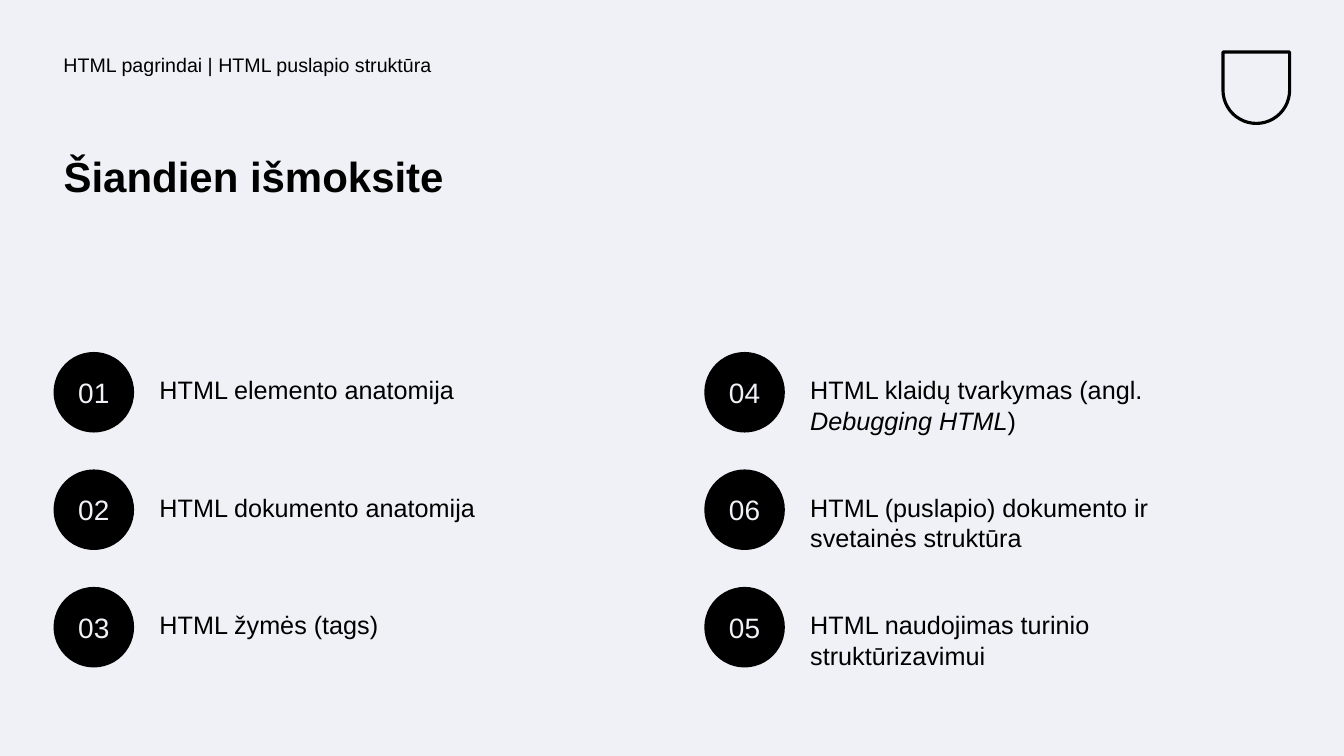
from dataclasses import dataclass

from pptx import Presentation
from pptx import util as u
from pptx.dml.color import RGBColor
from pptx.enum import shapes, text


@dataclass(frozen=True)
class Theme:
    font: str = "Arial"
    ink: RGBColor = RGBColor(0, 0, 0)
    paper: RGBColor = RGBColor(0xF0, 0xF1, 0xF6)
    head: int = 14
    title: int = 30
    body: int = 18
    badge: int = 20


class Page:
    def __init__(self, deck, theme):
        self.theme = theme
        self.slide = deck.slides.add_slide(deck.slide_layouts[5])
        fill = self.slide.background.fill
        fill.solid()
        fill.fore_color.rgb = theme.paper

    def typeset(self, frame, runs, size, color=None, bold=False,
                align=text.PP_ALIGN.LEFT, anchor=text.MSO_ANCHOR.TOP,
                space=1.0):
        """Fill a frame with one paragraph of (words, italic) runs."""
        frame.word_wrap = True
        frame.auto_size = text.MSO_AUTO_SIZE.NONE
        frame.vertical_anchor = anchor
        para = frame.paragraphs[0]
        para.alignment = align
        para.line_spacing = space
        for words, italic in runs:
            run = para.add_run()
            run.text = words
            font = run.font
            font.name = self.theme.font
            font.size = u.Pt(size)
            font.bold = bold
            font.italic = italic
            font.color.rgb = color or self.theme.ink

    def title(self, words, x, y, w, h):
        box = self.slide.shapes.title
        box.left, box.top, box.width, box.height = map(u.Cm, (x, y, w, h))
        self.typeset(box.text_frame, [(words, False)], self.theme.title,
                     bold=True, space=0.9)

    def label(self, runs, size, x, y, w, h, space=1.0):
        box = self.slide.shapes.add_textbox(*map(u.Cm, (x, y, w, h)))
        self.typeset(box.text_frame, runs, size, space=space)

    def badge(self, num, x, y, size):
        disc = self.slide.shapes.add_shape(
            shapes.MSO_SHAPE.OVAL, *map(u.Cm, (x, y, size, size)))
        disc.shadow.inherit = False
        disc.fill.solid()
        disc.fill.fore_color.rgb = self.theme.ink
        disc.line.fill.background()
        self.typeset(disc.text_frame, [(num, False)], self.theme.badge,
                     color=self.theme.paper, align=text.PP_ALIGN.CENTER,
                     anchor=text.MSO_ANCHOR.MIDDLE)

    def shield(self, x, y, w, h):
        mark = self.slide.shapes.add_shape(
            shapes.MSO_SHAPE.ROUND_2_SAME_RECTANGLE, *map(u.Cm, (x, y, w, h)))
        mark.rotation = 180
        mark.adjustments[0] = 0.5
        mark.shadow.inherit = False
        mark.fill.background()
        mark.line.color.rgb = self.theme.ink
        mark.line.width = u.Pt(2.25)


# Each column lists its topics from top to bottom.
TOPICS = [
    [("01", [("HTML elemento anatomija", False)]),
     ("02", [("HTML dokumento anatomija", False)]),
     ("03", [("HTML žymės (tags)", False)])],
    [("04", [("HTML klaidų tvarkymas (angl. ", False),
             ("Debugging HTML", True), (")", False)]),
     ("06", [("HTML (puslapio) dokumento ir svetainės struktūra", False)]),
     ("05", [("HTML naudojimas turinio struktūrizavimui", False)])],
]
LEFT, TOP = 1.35, 8.87
COL, ROW = 16.4, 2.96


def main():
    deck = Presentation()
    deck.slide_width, deck.slide_height = u.Cm(33.87), u.Cm(19.05)
    theme = Theme()
    page = Page(deck, theme)
    page.shield(30.82, 1.31, 1.68, 1.8)
    page.label([("HTML pagrindai | HTML puslapio struktūra", False)],
               theme.head, LEFT, 1.27, 18.85, 1.27, space=0.9)
    page.title("Šiandien išmoksite", LEFT, 3.81, 14.33, 3.78)
    for col, topics in enumerate(TOPICS):
        for row, (num, runs) in enumerate(topics):
            x, y = LEFT + col * COL, TOP + row * ROW
            page.badge(num, x, y, 2.03)
            page.label(runs, theme.body, x + 2.42, y + 0.45, 11.76, 1.14)
    deck.save("out.pptx")


if __name__ == "__main__":
    main()
